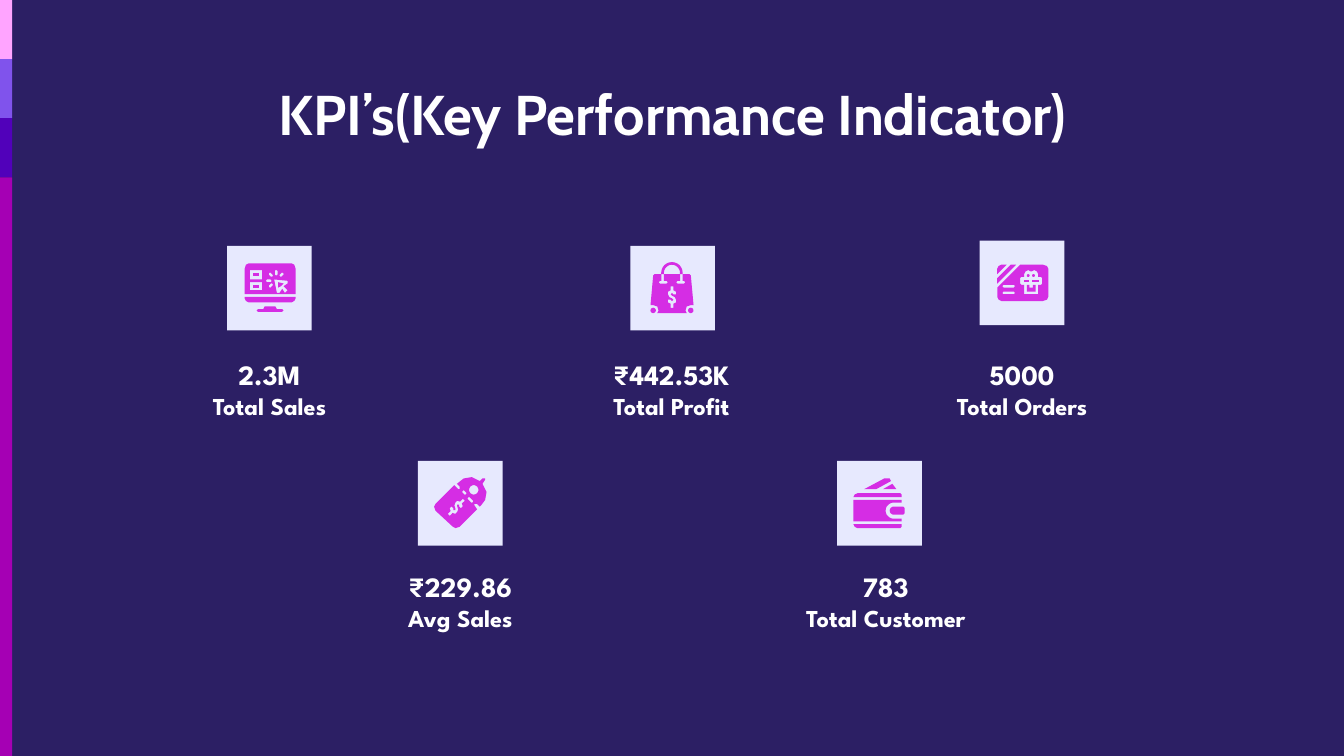
import math
from typing import NamedTuple

from pptx import Presentation
from pptx import util as u
from pptx.dml.color import RGBColor
from pptx.enum import shapes, text

NAVY = RGBColor(0x2C, 0x1F, 0x64)
PALE = RGBColor(0xE7, 0xE9, 0xFE)
PINK = RGBColor(0xD5, 0x2D, 0xE4)
WHITE = RGBColor(0xFF, 0xFF, 0xFF)
BANDS = [
    (0.44, RGBColor(0xFF, 0xA4, 0xFF)),
    (0.44, RGBColor(0x80, 0x53, 0xEC)),
    (0.44, RGBColor(0x51, 0x01, 0xBA)),
    (4.31, RGBColor(0xA5, 0x00, 0xB4)),
]
TILE = 0.63

Ring = list[tuple[float, float]]
Part = list[Ring]  # an outline, then the holes in it


class Kpi(NamedTuple):
    value: str
    label: str
    left: float  # tile corner
    top: float
    start: float  # caption corner
    cap: float
    width: float
    icon: list[Part]


# Outlines, in hundredths of an inch from the tile corner
def box(x: float, y: float, w: float, h: float) -> Ring:
    return [(x, y), (x + w, y), (x + w, y + h), (x, y + h)]


def arc(x: float, y: float, r: float, start: int, end: int) -> Ring:
    turns = [math.radians(a) for a in range(start, end, 15)]
    return [(x + r * math.cos(a), y + r * math.sin(a)) for a in turns]


def disc(x: float, y: float, r: float) -> Ring:
    return arc(x, y, r, 0, 360)


def bar(x: float, y: float, x2: float, y2: float) -> Ring:
    """A stroke two units wide with round ends."""
    lean = round(math.degrees(math.atan2(y2 - y, x2 - x)))
    return arc(x2, y2, 1, lean - 90, lean + 91) + arc(x, y, 1, lean + 90, lean + 271)


def dollar(x: float, y: float, angle: float = 0) -> Ring:
    half = [(-1, -8), (1, -8), (1, -5), (3, -4), (3, -2), (1, -2), (0, -3),
            (-1, -2), (0, -1), (2, 0), (3, 2), (3, 4), (1, 5)]
    ring = half + [(-a, -b) for a, b in half]
    c, s = math.cos(math.radians(angle)), math.sin(math.radians(angle))
    return [(x + a * c - b * s, y + a * s + b * c) for a, b in ring]


def mirror(half: Ring, axis: float) -> Ring:
    return half + [(2 * axis - x, y) for x, y in reversed(half)]


SCREEN = [
    [mirror([(28, 45), (27, 47), (23, 47), (22, 48), (23, 49)], 32)],
    [mirror([(13, 38), (13, 39), (14, 41), (16, 42)], 32)],
    [mirror([(13, 36), (13, 17), (14, 14), (16, 13)], 32),
     box(17, 18, 9, 7), box(17, 27, 9, 6),
     bar(40, 22, 41, 21), bar(36.5, 19, 36.5, 21), bar(32, 21, 33, 22),
     bar(30, 26, 32, 26), bar(32, 30, 33, 29),
     [(35, 25), (45, 26), (45, 28), (42, 30), (45, 33), (43, 35),
      (41, 32), (39, 35), (37, 35)]],
    [box(19, 20, 5, 2)],
    [box(19, 29, 5, 2)],
    [[(38, 27), (42, 28), (40, 30), (38, 31)]],
]
BAG = [
    [[(23, 21)] + arc(31, 20, 8, 180, 361) + [(39, 21), (37, 21)]
     + arc(31, 20, 6, 180, 361)[::-1] + [(25, 21)]],
    [mirror([(25, 21), (25, 26), (27, 26), (28, 27), (27, 28), (22, 28),
             (21, 27), (22, 26), (23, 26), (23, 21), (18, 21), (17, 22),
             (15, 44), (17, 44), (20, 45), (21, 48), (20, 50)], 31),
     dollar(31, 38)],
    [disc(45, 48, 2)],
    [disc(17, 48, 2)],
]
CARD = [
    [[(23, 18), (13, 28), (13, 32), (27, 18)]],
    [[(16, 18), (14, 19), (13, 21), (13, 25), (20, 18)]],
    [[(30, 18), (13, 35), (13, 42), (14, 44), (16, 45), (47, 45), (50, 44),
      (51, 42), (51, 21), (50, 19), (47, 18)],
     bar(18, 39, 25, 39), bar(18, 34, 25, 34),
     mirror([(38, 23), (36, 22), (34, 23), (33, 25), (33, 27), (31, 27),
             (30, 28), (30, 32), (31, 33), (33, 33), (33, 40)], 38.25)],
    [disc(40, 26, 1)],
    [disc(36, 26, 1)],
    [box(39, 29, 5, 2)],
    [box(33, 29, 4, 2)],
    [mirror([(37, 35), (37, 33), (35, 33), (35, 38)], 38.25)],
]
TAG = [
    [[(26, 49), (28, 50), (31, 49), (44, 36), (42, 33), (42, 32), (44, 32),
      (46, 34), (47, 33), (50, 29), (51, 23), (48, 17), (50, 14), (50, 13),
      (48, 13), (46, 15), (40, 12), (34, 13), (29, 17), (31, 19), (31, 21),
      (30, 21), (27, 18), (13, 32), (12, 34), (13, 37)],
     disc(41.5, 21.5, 3.5), bar(38, 28, 40, 30), bar(34, 23, 35, 24),
     dollar(28.5, 34.5, 45)],
]
WALLET = [
    [arc(42, 37, 3, 90, 271) + [(49, 34), (50, 35), (50, 39), (49, 40)]],
    [[(38, 13), (35, 13), (20, 21), (29, 21), (40, 15), (39, 13)]],
    [[(41, 17), (34, 21), (44, 21)]],
    [[(48, 25), (47, 24), (15, 24), (13, 25), (12, 27), (48, 27)]],
    [[(48, 43)] + arc(42, 37, 6, 90, 271)
     + [(48, 31), (48, 29), (12, 29), (12, 45), (48, 45)]],
    [[(15, 50), (47, 50), (48, 49), (48, 47), (12, 47), (13, 49)]],
]

KPIS = [
    Kpi("2.3M", "Total Sales", 1.69, 1.83, 1.36, 2.56, 1.29, SCREEN),
    Kpi("₹442.53K", "Total Profit", 4.69, 1.83, 4.35, 2.56, 1.29, BAG),
    Kpi("5000", "Total Orders", 7.29, 1.79, 6.96, 2.56, 1.29, CARD),
    Kpi("₹229.86", "Avg Sales", 3.11, 3.43, 2.78, 4.14, 1.29, TAG),
    Kpi("783", "Total Customer", 6.23, 3.43, 5.72, 4.14, 1.74, WALLET),
]


def paint(shape, color: RGBColor) -> None:
    shape.shadow.inherit = False
    shape.fill.solid()
    shape.fill.fore_color.rgb = color
    shape.line.fill.background()


def block(slide, x: float, y: float, w: float, h: float, color: RGBColor) -> None:
    paint(slide.shapes.add_shape(shapes.MSO_SHAPE.RECTANGLE, u.Inches(x),
                                 u.Inches(y), u.Inches(w), u.Inches(h)), color)


def trace(slide, part: Part, x: float, y: float) -> None:
    """Draw one icon part, on a grid of a thousandth of an inch."""
    rings = [[(round(a * 10), round(b * 10)) for a, b in ring] for ring in part]
    pen = slide.shapes.build_freeform(*rings[0][0], scale=u.Inches(1) / 1000)
    pen.add_line_segments(rings[0][1:])
    for ring in rings[1:]:
        pen.move_to(*ring[0])
        pen.add_line_segments(ring[1:])
    paint(pen.convert_to_shape(u.Inches(x), u.Inches(y)), PINK)


def setup(frame) -> None:
    frame.word_wrap = True
    frame.auto_size = text.MSO_AUTO_SIZE.NONE
    frame.vertical_anchor = text.MSO_ANCHOR.TOP
    frame.margin_left = frame.margin_right = u.Inches(0.1)
    frame.margin_top = frame.margin_bottom = u.Inches(0.1)


def write(para, words: str, *, size: float, font: str, bold: bool = True,
          color: RGBColor = WHITE) -> None:
    para.alignment = text.PP_ALIGN.CENTER
    run = para.add_run()
    run.text = words
    run.font.size, run.font.name, run.font.bold = u.Pt(size), font, bold
    run.font.color.rgb = color


def card(slide, kpi: Kpi) -> None:
    block(slide, kpi.left, kpi.top, TILE, TILE, PALE)
    for part in kpi.icon:
        trace(slide, part, kpi.left, kpi.top)
    note = slide.shapes.add_textbox(u.Inches(kpi.start), u.Inches(kpi.cap),
                                    u.Inches(kpi.width), u.Inches(TILE))
    setup(note.text_frame)
    para = note.text_frame.paragraphs[0]
    write(para, kpi.value, size=15, font="League Spartan")
    para.add_line_break()
    write(para, kpi.label, size=13, font="League Spartan")


def main() -> None:
    deck = Presentation()
    deck.slide_width = u.Inches(10)
    deck.slide_height = deck.slide_width * 9 // 16
    slide = deck.slides.add_slide(deck.slide_layouts[5])
    slide.background.fill.solid()
    slide.background.fill.fore_color.rgb = NAVY

    # Colour bands down the left edge
    y = 0.0
    for tall, color in BANDS:
        block(slide, 0, y, 0.09, tall, color)
        y += tall

    # Title
    title = slide.shapes.title
    title.left, title.top = u.Inches(0.79), u.Inches(0.49)
    title.width, title.height = u.Inches(8.43), u.Inches(0.63)
    setup(title.text_frame)
    write(title.text_frame.paragraphs[0], "KPI’s(Key Performance Indicator)",
          size=30, font="Cabin")

    # Tiles with captions
    for kpi in KPIS:
        card(slide, kpi)
    deck.save("out.pptx")


if __name__ == "__main__":
    main()
